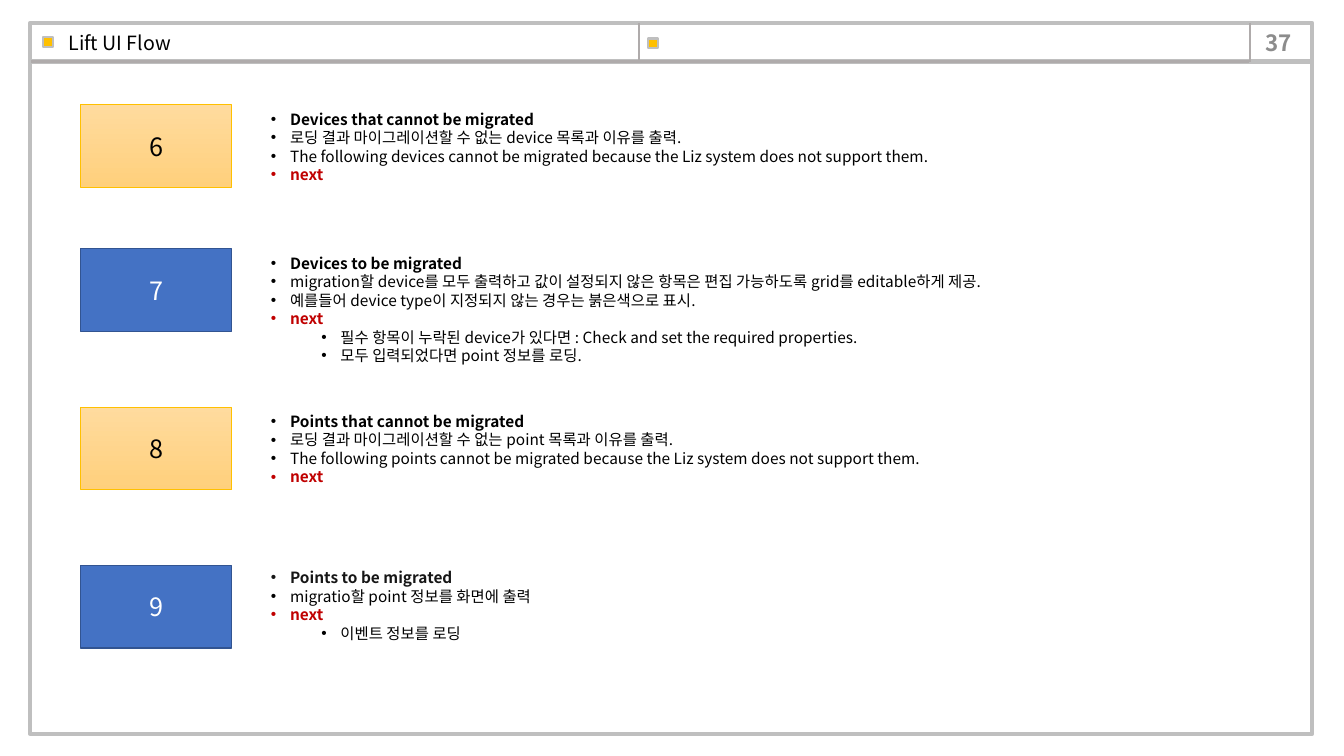
import pptx
import pptx.util
import pptx.dml.color
import pptx.enum.shapes
import pptx.enum.text
import lxml.etree

Cm, Pt = pptx.util.Cm, pptx.util.Pt
ALIGN = pptx.enum.text.PP_ALIGN
ANCHOR = pptx.enum.text.MSO_ANCHOR
RECT = pptx.enum.shapes.MSO_SHAPE.RECTANGLE
STRAIGHT = pptx.enum.shapes.MSO_CONNECTOR.STRAIGHT
NS = "{http://schemas.openxmlformats.org/drawingml/2006/main}"
FACE = "Noto Sans CJK KR"


def paint(color, value):
    color.rgb = pptx.dml.color.RGBColor.from_string(value)


def style(para, size, value, bold=False):
    font = para.font
    font.name, font.size, font.bold = FACE, Pt(size), bold
    paint(font.color, value)
    latin = para._p.pPr.find(f".//{NS}latin")
    latin.addnext(latin.makeelement(NS + "ea", {"typeface": FACE}))


deck = pptx.Presentation()
deck.slide_width, deck.slide_height = Cm(33.87), Cm(19.05)
slide = deck.slides.add_slide(deck.slide_layouts[5])
shapes = slide.shapes

frames = [
    (0.76, 1.55, 32.31, 16.94, "FFFFFF", 3),
    (0.76, 0.58, 32.31, 0.97, None, 3),
    (1.09, 0.94, 0.25, 0.25, "FFC000", 1.5),
    (16.33, 0.97, 0.25, 0.25, "FFC000", 1.5),
]
for left, top, width, height, fill, weight in frames:
    frame = shapes.add_shape(RECT, Cm(left), Cm(top), Cm(width), Cm(height))
    frame.shadow.inherit = False
    if fill:
        frame.fill.solid()
        paint(frame.fill.fore_color, fill)
    else:
        frame.fill.background()
    paint(frame.line.color, "BFBFBF")
    frame.line.width = Pt(weight)

rules = [(0.79, 1.55, 31.47, 1.55), (31.5, 1.55, 31.5, 0.58), (16.1, 1.55, 16.1, 0.58)]
for ends in rules:
    rule = shapes.add_connector(STRAIGHT, *map(Cm, ends))
    paint(rule.line.color, "AFABAB")
    rule.line.width = Pt(1.5)
    lxml.etree.SubElement(rule._element.spPr, NS + "effectLst")

page = shapes.add_textbox(Cm(31.34), Cm(0.61), Cm(1.75), Cm(0.91)).text_frame
page.word_wrap = True
page.vertical_anchor = ANCHOR.MIDDLE
page.text = "37"
page.paragraphs[0].alignment = ALIGN.CENTER
style(page.paragraphs[0], 16, "8C8C8C", True)

title = shapes.title
title.left, title.top, title.width, title.height = Cm(1.47), Cm(0.69), Cm(14.43), Cm(0.81)
title.text = "Lift UI Flow"
title.text_frame.auto_size = pptx.enum.text.MSO_AUTO_SIZE.NONE
title.text_frame.vertical_anchor = ANCHOR.BOTTOM
head = title.text_frame.paragraphs[0]
head.alignment = ALIGN.LEFT
head.line_spacing = 0.9
style(head, 14, "000000")

steps = [
    ("6", 2.64, 2.64, 19.61, 2.13, [
        "Devices that cannot be migrated",
        "로딩 결과 마이그레이션할 수 없는 device 목록과 이유를 출력.",
        "The following devices cannot be migrated because the Liz system does not support them.",
        "next"], []),
    ("7", 6.27, 6.27, 21.59, 3.07, [
        "Devices to be migrated",
        "migration할 device를 모두 출력하고 값이 설정되지 않은 항목은 편집 가능하도록 grid를 editable하게 제공.",
        "예를들어 device type이 지정되지 않는 경우는 붉은색으로 표시.",
        "next"], [
        "필수 항목이 누락된 device가 있다면 : Check and set the required properties.",
        "모두 입력되었다면 point 정보를 로딩."]),
    ("8", 10.26, 10.26, 19.3, 2.13, [
        "Points that cannot be migrated",
        "로딩 결과 마이그레이션할 수 없는 point 목록과 이유를 출력.",
        "The following points cannot be migrated because the Liz system does not support them.",
        "next"], []),
    ("9", 14.25, 14.2, 19.94, 2.13, [
        "Points to be migrated",
        "migratio할 point 정보를 화면에 출력",
        "next"], [
        "이벤트 정보를 로딩"]),
]
for index, (label, top, start, width, height, main, sub) in enumerate(steps):
    box = shapes.add_shape(RECT, Cm(2.03), Cm(top), Cm(3.81), Cm(2.08))
    box.shadow.inherit = False
    if index % 2:
        box.fill.solid()
        paint(box.fill.fore_color, "4472C4")
        edge, weight, ink = "325491", 1, "FFFFFF"
    else:
        box.fill.gradient()
        box.fill.gradient_angle = 270
        for stop, shade in zip(box.fill.gradient_stops, ("FFDB9E", "FFD07C")):
            paint(stop.color, shade)
        edge, weight, ink = "FFC000", 0.5, "000000"
    paint(box.line.color, edge)
    box.line.width = Pt(weight)
    box.text_frame.text = label
    box.text_frame.vertical_anchor = ANCHOR.MIDDLE
    box.text_frame.paragraphs[0].alignment = ALIGN.CENTER
    style(box.text_frame.paragraphs[0], 18, ink)

    body = shapes.add_textbox(Cm(6.58), Cm(start), Cm(width), Cm(height)).text_frame
    body.word_wrap = True
    body.text = "\n".join(main + sub)
    for row, para in enumerate(body.paragraphs):
        deep = row >= len(main)
        para.level = int(deep)
        props = para._p.get_or_add_pPr()
        props.set("marL", str(Cm(1.75 if deep else 0.48)))
        props.set("indent", str(Cm(-0.48)))
        lxml.etree.SubElement(props, NS + "buFont", typeface="Arial")
        lxml.etree.SubElement(props, NS + "buChar", char="•")
        last = row == len(main) - 1
        ink = "C00000" if last else "161616" if label == "9" and row == 0 else "000000"
        style(para, 11, ink, last or row == 0)

deck.save("out.pptx")
